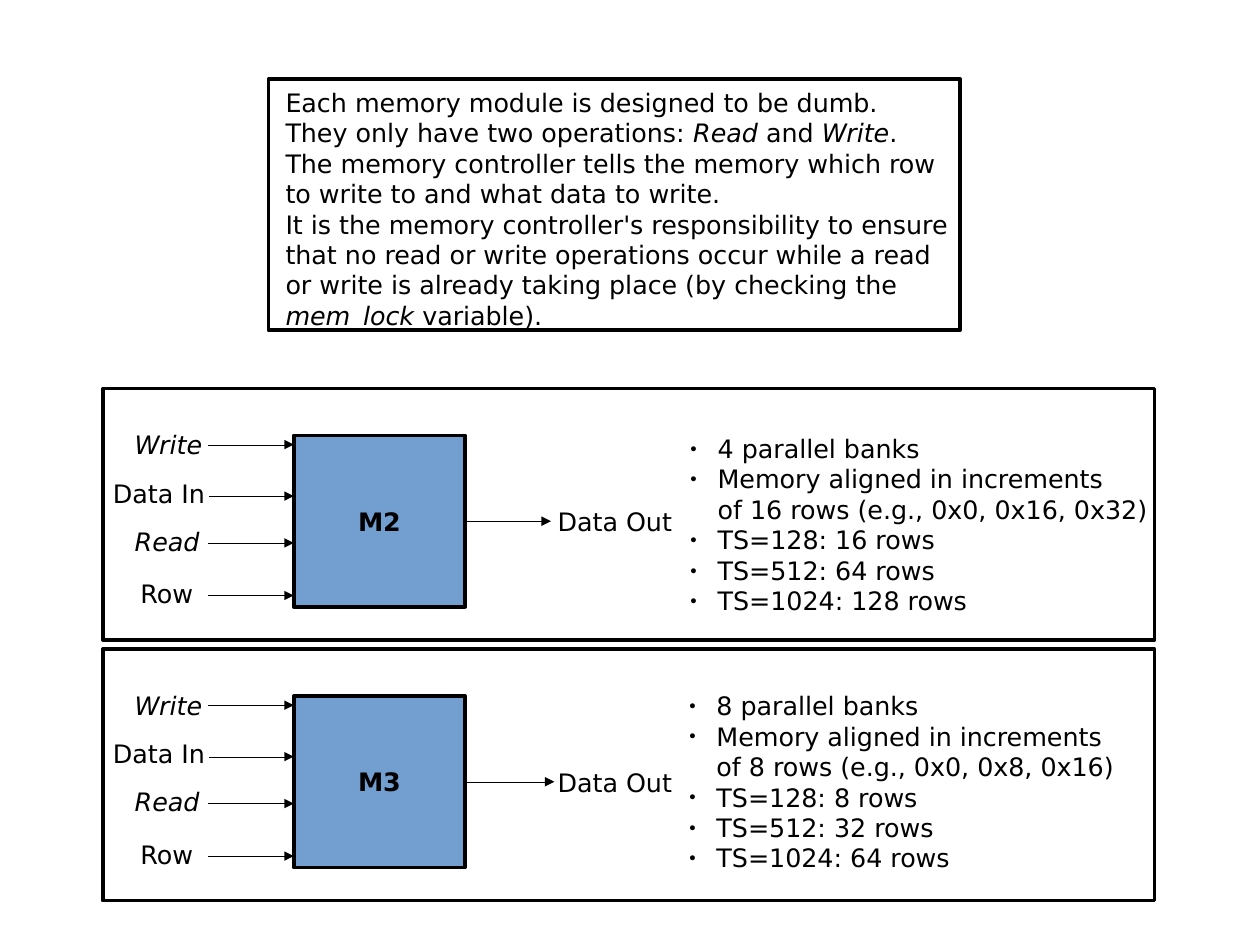
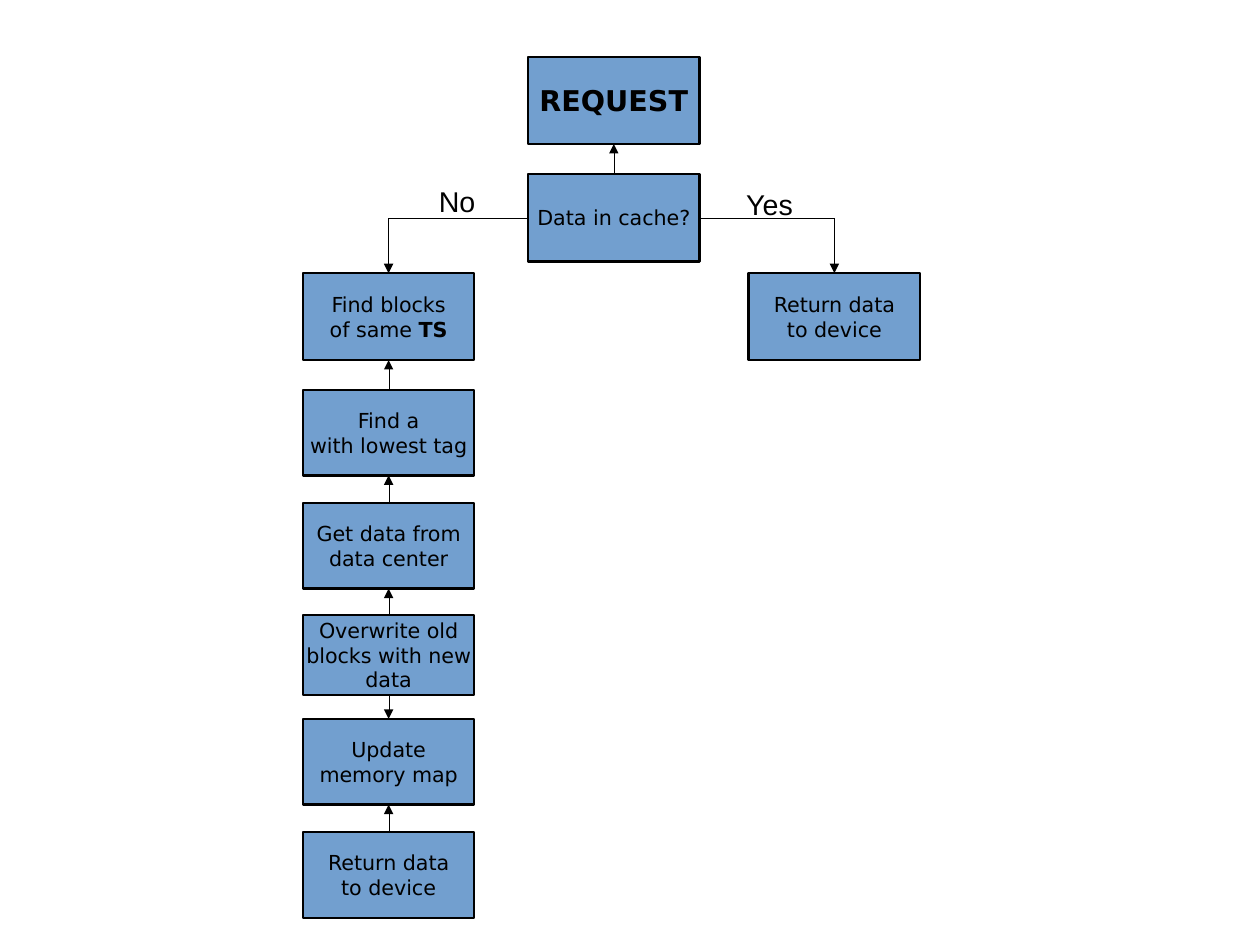
from dataclasses import dataclass

import lxml.etree
import pptx
import pptx.dml.color
import pptx.enum.shapes
import pptx.enum.text
import pptx.oxml
import pptx.oxml.ns
import pptx.util

Inches = pptx.util.Inches
Pt = pptx.util.Pt
qn = pptx.oxml.ns.qn


@dataclass(frozen=True)
class Theme:
    ink: pptx.dml.color.RGBColor = pptx.dml.color.RGBColor(0x00, 0x00, 0x00)
    box: pptx.dml.color.RGBColor = pptx.dml.color.RGBColor(0x72, 0x9F, 0xCF)
    font: str = "DejaVu Sans"
    branch_font: str = "Arial"
    body_size: float = 16
    step_size: float = 13
    heading_size: float = 18
    frame_line: float = 2.3
    step_line: float = 1.5


theme = Theme()


def add_text_shape(slide, left, top, width, height, paragraphs, size=theme.body_size,
                   font=theme.font, emphasis="italic", line=None, filled=False, bullets=False):
    """Add a rectangle if a line width is given, else a text box.

    A paragraph is a tuple of pieces; every second piece is emphasised.
    """
    area = [Inches(length) for length in (left, top, width, height)]
    if line is None:
        shape = slide.shapes.add_textbox(*area)
        alignment = pptx.enum.text.PP_ALIGN.LEFT
        shape.text_frame.auto_size = pptx.enum.text.MSO_AUTO_SIZE.SHAPE_TO_FIT_TEXT
    else:
        shape = slide.shapes.add_shape(pptx.enum.shapes.MSO_SHAPE.RECTANGLE, *area)
        alignment = pptx.enum.text.PP_ALIGN.CENTER
        shape.shadow.inherit = False
        shape.line.color.rgb = theme.ink
        shape.line.width = Pt(line)
        if filled:
            shape.fill.solid()
            shape.fill.fore_color.rgb = theme.box
        else:
            shape.fill.background()
        frame = shape.text_frame
        frame.vertical_anchor = pptx.enum.text.MSO_ANCHOR.MIDDLE
        frame.margin_left = frame.margin_right = Inches(0.11)
        frame.margin_top = frame.margin_bottom = Inches(0.06)
    frame = shape.text_frame
    frame.word_wrap = False

    for index, pieces in enumerate(paragraphs):
        paragraph = frame.add_paragraph() if index else frame.paragraphs[0]
        paragraph.alignment = alignment
        paragraph.font.name = font
        paragraph.font.size = Pt(size)
        paragraph.font.color.rgb = theme.ink
        for position, piece in enumerate(pieces):
            for row, text in enumerate(piece.split("\n")):
                if row:
                    paragraph.add_line_break()
                if text:
                    run = paragraph.add_run()
                    run.text = text
                    if position % 2:
                        setattr(run.font, emphasis, True)
        if bullets:
            properties = paragraph._p.get_or_add_pPr()
            properties.set("marL", str(Inches(0.24)))
            properties.set("indent", str(Inches(-0.24)))
            marks = [("a:buSzPct", {"val": "45000"}),
                     ("a:buFont", {"typeface": theme.branch_font}),
                     ("a:buChar", {"char": "●"})]
            for place, (tag, attributes) in enumerate(marks):
                properties.insert(place, lxml.etree.Element(qn(tag), attributes))
    return shape


def add_arrow(slide, start=(0, 0), end=(0, 0), begin=None, finish=None, elbow=False):
    """Draw a hairline arrow; begin and finish are (shape, side) pairs to join."""
    kinds = pptx.enum.shapes.MSO_CONNECTOR
    connector = slide.shapes.add_connector(
        kinds.ELBOW if elbow else kinds.STRAIGHT,
        *[Inches(length) for length in (*start, *end)])
    if begin:
        connector.begin_connect(*begin)
    if finish:
        connector.end_connect(*finish)
    connector.line.color.rgb = theme.ink
    properties = connector._element.spPr
    if elbow:
        properties.find(qn("a:prstGeom")).set("prst", "bentConnector2")
    outline = properties.find(qn("a:ln"))
    outline.set("w", "0")
    lxml.etree.SubElement(outline, qn("a:tailEnd"), type="triangle")
    lxml.etree.SubElement(properties, qn("a:effectLst"))


# 28 by 21 centimetres
presentation = pptx.Presentation()
presentation.slide_width = Inches(28 / 2.54)
presentation.slide_height = Inches(21 / 2.54)
blank = presentation.slide_layouts[6]

# Memory modules
slide = presentation.slides.add_slide(blank)
introduction = [
    ("Each memory module is designed to be dumb.",),
    ("They only have two operations: ", "Read", " and ", "Write", "."),
    ("The memory controller tells the memory which row\n"
     "to write to and what data to write.\n"
     "It is the memory controller's responsibility to ensure\n"
     "that no read or write operations occur while a read\n"
     "or write is already taking place (by checking the\n",
     "mem_lock", " variable)."),
]
add_text_shape(slide, 2.35, 0.69, 6.05, 2.2, [], line=theme.frame_line)
add_text_shape(slide, 2.4, 0.71, 6, 2.41, introduction)

# Label pieces, left, width and drop, then arrow start and drop; drops are from the module's top
inputs = [
    (("", "Write"), 1.08, 0.81, -0.1, 1.82, 0.08),
    (("Data In",), 0.89, 1.04, 0.32, 1.83, 0.53),
    (("", "Read"), 1.08, 0.81, 0.74, 1.82, 0.94),
    (("Row",), 1.13, 0.7, 1.2, 1.82, 1.4),
]
# Name, panel top, output arrow end, facts left and top, banks, alignment, rows per TS
modules = [
    ("M2", 3.4, 4.82, (5.94, 3.74), 4, "16 rows (e.g., 0x0, 0x16, 0x32)", (16, 64, 128)),
    ("M3", 5.68, 4.85, (5.93, 5.99), 8, "8 rows (e.g., 0x0, 0x8, 0x16)", (8, 32, 64)),
]
module_left, module_side = 2.57, 1.5
for name, panel_top, output_end, facts_place, banks, increments, rows in modules:
    module_top = panel_top + 0.41
    middle = module_top + module_side / 2
    add_text_shape(slide, 0.9, panel_top, 9.2, 2.2, [], line=theme.frame_line)
    module = add_text_shape(slide, module_left, module_top, module_side, module_side,
                            [("", name)], emphasis="bold", line=theme.frame_line, filled=True)
    for label, label_left, label_width, label_drop, arrow_left, arrow_drop in inputs:
        arrow_top = module_top + arrow_drop
        add_text_shape(slide, label_left, module_top + label_drop, label_width, 0.36, [label])
        add_arrow(slide, (arrow_left, arrow_top), (module_left, arrow_top))
    add_arrow(slide, end=(output_end, middle), begin=(module, 3))
    add_text_shape(slide, 4.78, middle - 0.18, 1.22, 0.36, [("Data Out",)])
    facts = [(f"{banks} parallel banks",),
             (f"Memory aligned in increments \nof {increments}",)]
    facts += [(f"TS={ts}: {count} rows",) for ts, count in zip((128, 512, 1024), rows)]
    add_text_shape(slide, *facts_place, 4.22, 1.64, facts, bullets=True)

# Request flow
slide = presentation.slides.add_slide(blank)
step_width = 1.5
center, left_branch, right_branch = 4.62, 2.65, 6.55
steps = [
    ("request", center, 0.5, 0.76, ("", "REQUEST")),
    ("cache", center, 1.52, 0.77, ("Data in cache?",)),
    ("hit", right_branch, 2.39, 0.76, ("Return data\nto device",)),
    ("find", left_branch, 2.39, 0.76, ("Find blocks\nof same ", "TS")),
    ("lowest", left_branch, 3.41, 0.75, ("Find a\nwith lowest tag",)),
    ("fetch", left_branch, 4.4, 0.75, ("Get data from\ndata center",)),
    ("overwrite", left_branch, 5.38, 0.7, ("Overwrite old\nblocks with new\ndata",)),
    ("update", left_branch, 6.29, 0.75, ("Update\nmemory map",)),
    ("return", left_branch, 7.28, 0.75, ("Return data\nto device",)),
]
boxes = {}
for key, left, top, height, pieces in steps:
    size = theme.heading_size if key == "request" else theme.step_size
    boxes[key] = add_text_shape(slide, left, top, step_width, height, [pieces], size=size,
                                emphasis="bold", line=theme.step_line, filled=True)

upward = [("cache", "request"), ("lowest", "find"), ("fetch", "lowest"),
          ("overwrite", "fetch"), ("return", "update")]
for lower, upper in upward:
    add_arrow(slide, begin=(boxes[lower], 0), finish=(boxes[upper], 2))
add_arrow(slide, begin=(boxes["overwrite"], 2), finish=(boxes["update"], 0))

branches = [("No", 3.74, 1.56, 0.52, 1, "find"), ("Yes", 6.43, 1.59, 0.62, 3, "hit")]
for answer, left, top, width, side, target in branches:
    add_arrow(slide, begin=(boxes["cache"], side), finish=(boxes[target], 0), elbow=True)
    add_text_shape(slide, left, top, width, 0.38, [(answer,)],
                   size=theme.heading_size, font=theme.branch_font)

presentation.save("out.pptx")
